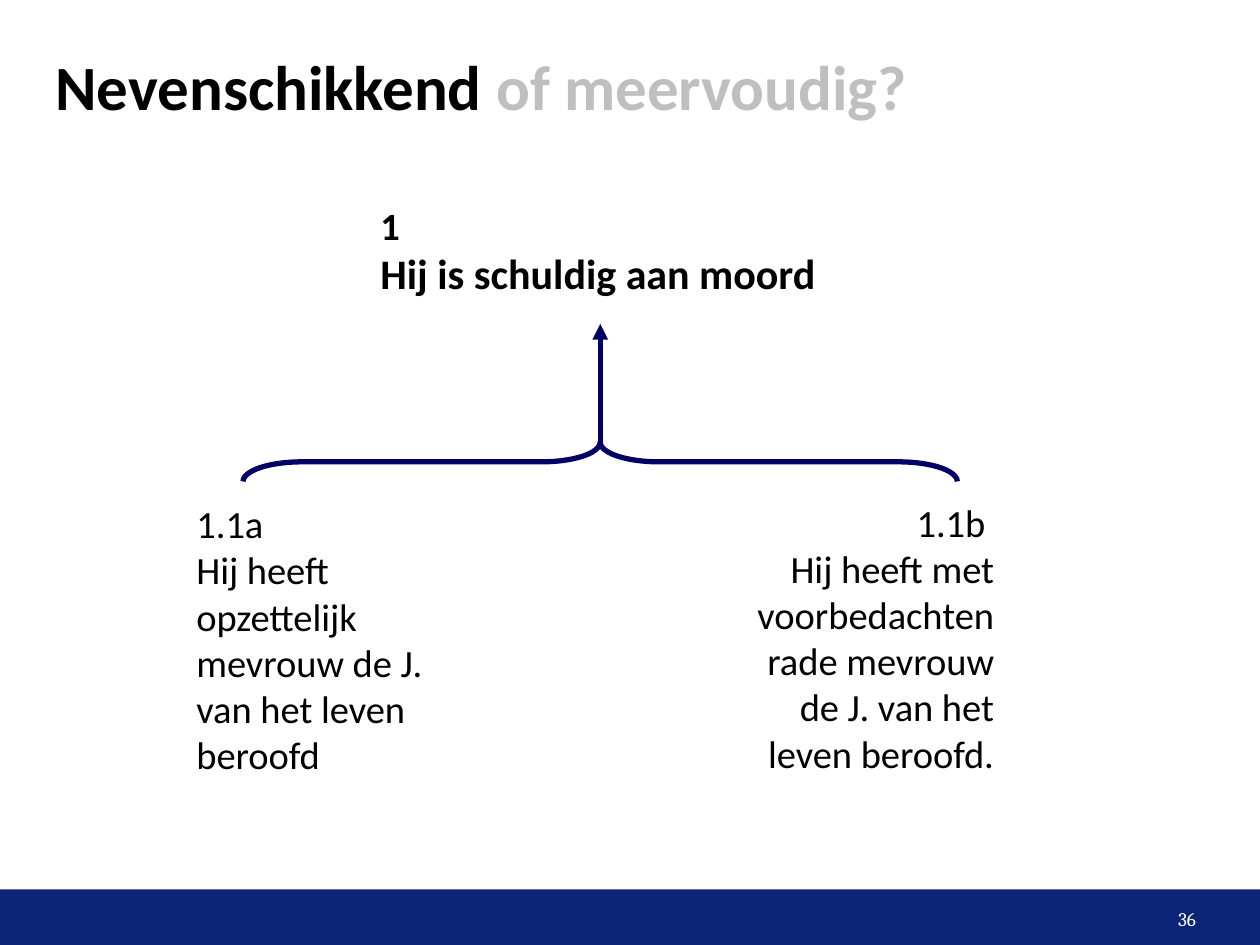
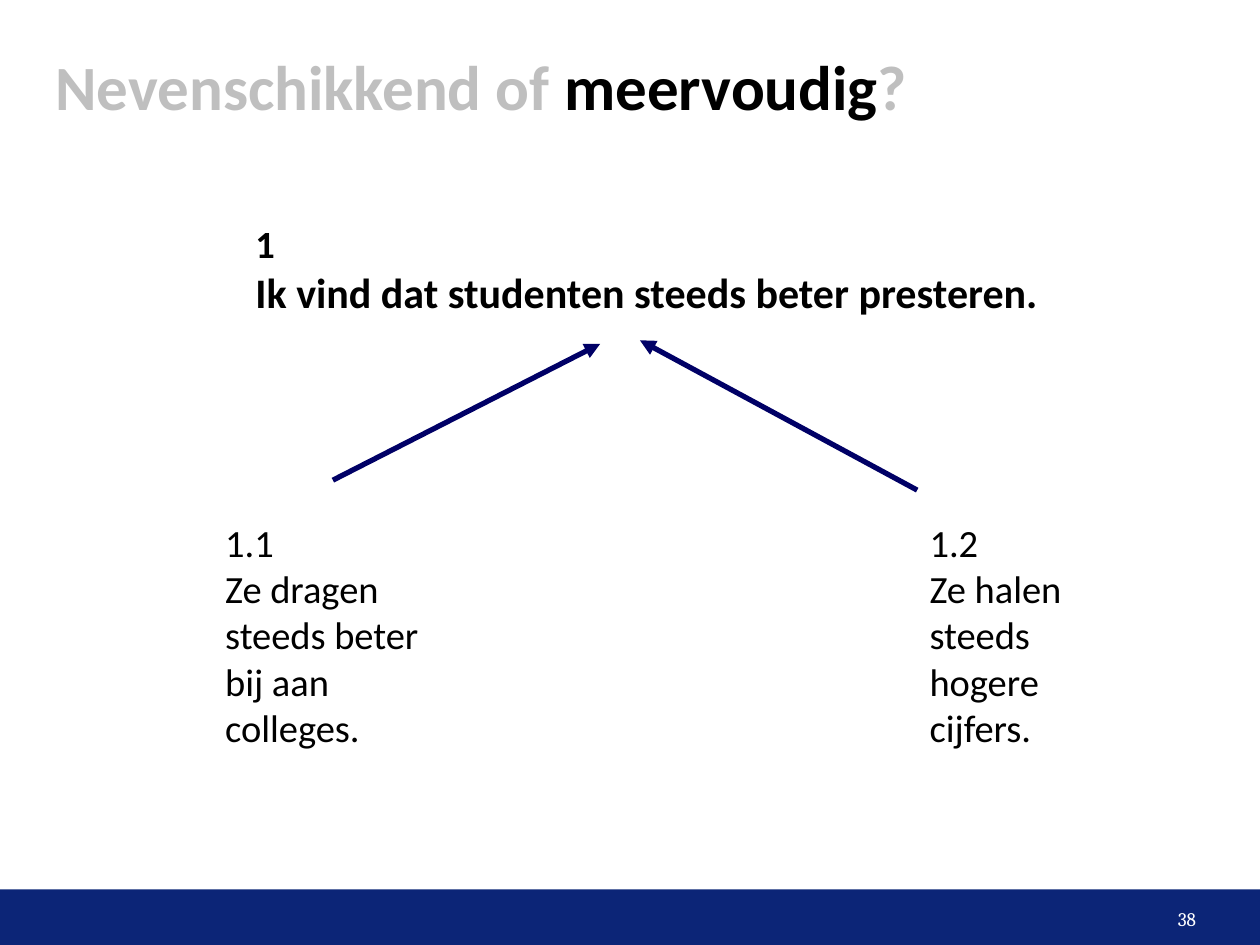
from lxml import etree
from pptx import Presentation
from pptx.dml.color import RGBColor
from pptx.enum import shapes, text
from pptx.oxml import ns
from pptx.util import Cm, Pt

BLACK = RGBColor(0x00, 0x00, 0x00)
GREY = RGBColor(0xBF, 0xBF, 0xBF)
WHITE = RGBColor(0xFF, 0xFF, 0xFF)
BAND_BLUE = RGBColor(0x0C, 0x25, 0x77)
LINE_BLUE = RGBColor(0x00, 0x00, 0x66)

SLIDE_W, SLIDE_H = 25.4, 19.05
BAND_TOP = 17.93
LEFT, RIGHT = text.PP_ALIGN.LEFT, text.PP_ALIGN.RIGHT


def format_run(r, size, color=BLACK, bold=False, font="Calibri"):
    r.font.name = font
    r.font.size = Pt(size)
    r.font.bold = bold
    r.font.color.rgb = color


def add_box(s, x, y, w, h, wrap=True):
    tf = s.shapes.add_textbox(Cm(x), Cm(y), Cm(w), Cm(h)).text_frame
    tf.word_wrap = wrap
    return tf


def style_line(line):
    line.color.rgb = LINE_BLUE
    line.width = Pt(3)


# Shared parts of every slide

def add_footer(s, number):
    band = s.shapes.add_shape(shapes.MSO_SHAPE.RECTANGLE, 0, Cm(BAND_TOP),
                              Cm(SLIDE_W), Cm(SLIDE_H - BAND_TOP))
    band.shadow.inherit = False
    band.fill.solid()
    band.fill.fore_color.rgb = BAND_BLUE
    band.line.fill.background()

    tf = add_box(s, 18.57, BAND_TOP, 5.72, 1.17)
    tf.vertical_anchor = text.MSO_ANCHOR.MIDDLE
    tf.margin_left = tf.margin_right = Cm(0.18)
    tf.margin_top = tf.margin_bottom = Cm(0.1)
    tf.text = str(number)
    p = tf.paragraphs[0]
    p.alignment = RIGHT
    format_run(p.runs[0], 11, WHITE, font="Cambria")


def add_title(s, parts):
    tf = add_box(s, 1.12, 1.12, 23.14, 1.19)
    tf.vertical_anchor = text.MSO_ANCHOR.MIDDLE
    tf.margin_left = tf.margin_right = tf.margin_top = tf.margin_bottom = 0
    for words, color in parts:
        r = tf.paragraphs[0].add_run()
        r.text = words
        format_run(r, 36, color, bold=True)


def new_slide(prs, number, title):
    s = prs.slides.add_slide(prs.slide_layouts[6])
    add_footer(s, number)
    add_title(s, title)
    return s


# Parts of an argument diagram

def add_statement(s, x, y, w, h, label, sentence, size=22, bold=False,
                  align=LEFT, wrap=True):
    tf = add_box(s, x, y, w, h, wrap)
    tf.text = f"{label}\n{sentence}"
    for p, points in zip(tf.paragraphs, (22, size)):
        p.alignment = align
        format_run(p.runs[0], points, bold=bold)


def add_claim(s, x, y, w, sentence):
    add_statement(s, x, y, w, 2.24, "1", sentence, size=24, bold=True,
                  wrap=False)


def add_arrow(s, x1, y1, x2, y2):
    arrow = s.shapes.add_connector(shapes.MSO_CONNECTOR.STRAIGHT,
                                   Cm(x1), Cm(y1), Cm(x2), Cm(y2))
    style_line(arrow.line)
    etree.SubElement(arrow.line._get_or_add_ln(), ns.qn("a:tailEnd"),
                     type="triangle")
    etree.SubElement(arrow._element.spPr, ns.qn("a:effectLst"))


def add_brace(s, center_x, center_y, span, depth):
    """Brace turned so that its point faces up."""
    brace = s.shapes.add_shape(shapes.MSO_SHAPE.RIGHT_BRACE,
                               Cm(center_x - depth / 2),
                               Cm(center_y - span / 2), Cm(depth), Cm(span))
    brace.rotation = 270
    brace.adjustments[0] = 1.5
    brace.adjustments[1] = 0.5
    brace.shadow.inherit = False
    brace.fill.background()
    style_line(brace.line)


def main():
    prs = Presentation()
    prs.slide_width, prs.slide_height = Cm(SLIDE_W), Cm(SLIDE_H)

    # Coordinate argument: two reasons that only work together
    s = new_slide(prs, 36, [("Nevenschikkend ", BLACK),
                            ("of meervoudig?", GREY)])
    add_claim(s, 7.42, 3.94, 9.37, "Hij is schuldig aan moord")
    add_statement(s, 3.71, 9.96, 6.2, 5.89, "1.1a",
                  "Hij heeft opzettelijk mevrouw de J. van het leven beroofd")
    add_arrow(s, 12.1, 8.92, 12.1, 6.53)
    add_brace(s, 12.1, 9.31, 14.4, 0.79)
    add_statement(s, 14.5, 9.93, 5.79, 5.89, "1.1b ",
                  "Hij heeft met voorbedachten rade mevrouw de J. "
                  "van het leven beroofd.", align=RIGHT)

    # Multiple argument: two independent reasons
    s = new_slide(prs, 38, [("Nevenschikkend of ", GREY),
                            ("meervoudig", BLACK), ("?", GREY)])
    add_claim(s, 4.9, 4.32, 16.46,
              "Ik vind dat studenten steeds beter presteren.")
    add_statement(s, 4.29, 10.34, 4.8, 4.95, "1.1",
                  "Ze dragen steeds beter bij aan colleges.")
    add_arrow(s, 6.71, 9.68, 12.1, 6.93)
    add_statement(s, 18.49, 10.34, 4.6, 4.95, "1.2",
                  "Ze halen steeds hogere cijfers.")
    add_arrow(s, 18.49, 9.88, 12.9, 6.86)

    prs.save("out.pptx")


if __name__ == "__main__":
    main()
